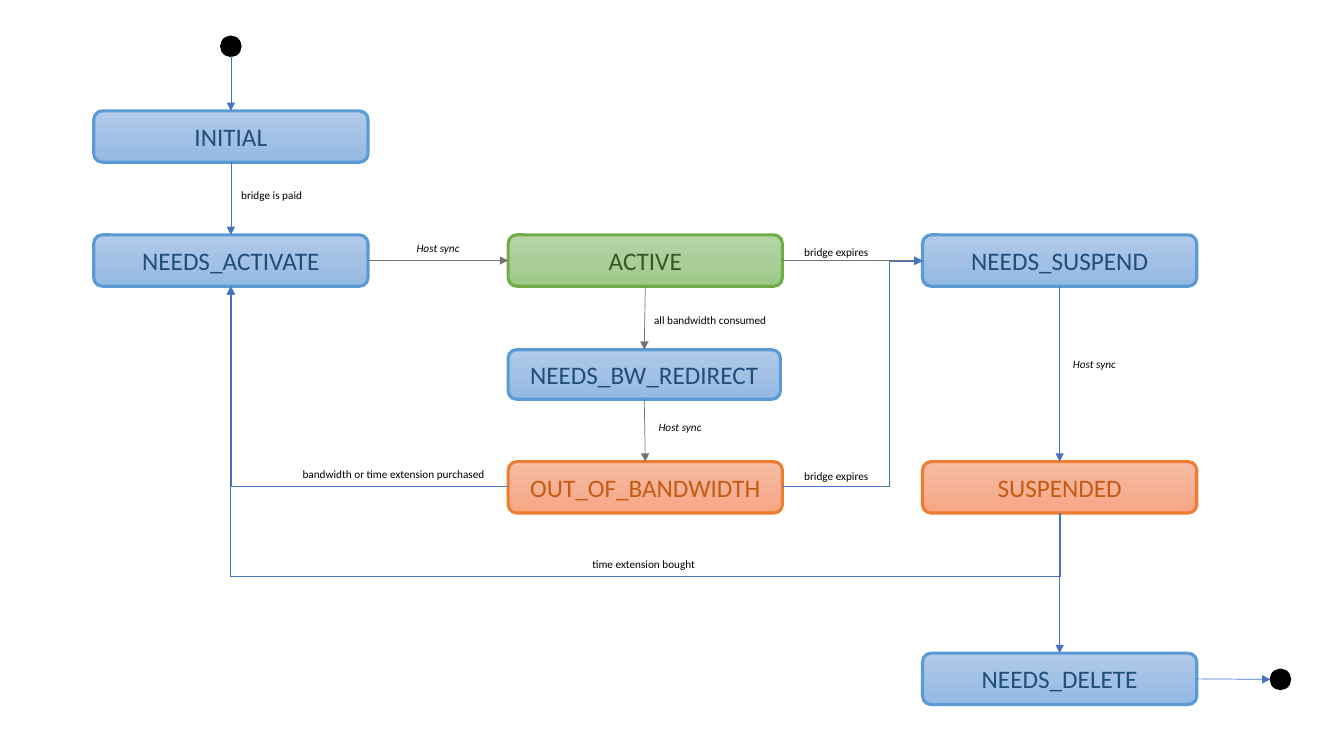
"""Draw the state diagram of a bridge from payment to deletion."""
from copy import deepcopy
from dataclasses import dataclass

from lxml.etree import SubElement as Sub
from pptx import Presentation
from pptx.dml.color import RGBColor as RGB
from pptx.enum.shapes import MSO_CONNECTOR as Conn, MSO_SHAPE as Form
from pptx.enum.text import MSO_ANCHOR as Anchor, PP_ALIGN as Align
from pptx.oxml.ns import qn
from pptx.util import Inches, Pt


@dataclass(frozen=True)
class Theme:
    font: str = "Calibri"
    big: float = 18
    small: float = 8
    edge: float = 2.25
    thin: float = 0.5
    black: str = "000000"
    blue: str = "4472C4"
    gray: str = "767171"
    todo: tuple = ("B1CBE9", "A3C1E5", "93B9E4", "5B9BD5", "1F4E79")
    live: tuple = ("B5D5A7", "AACE9A", "9CC987", "70AD47", "385723")
    halt: tuple = ("F7BDA5", "F5B196", "F8A582", "ED7D31", "C55A11")


class Chart:
    def __init__(self, slide, theme):
        self.slide, self.theme = slide, theme

    def put(self, frame, text, size, color, slant=None):
        frame.word_wrap = True
        para = frame.paragraphs[0]
        para.alignment = Align.CENTER
        run = para.add_run()
        run.text = text
        font = run.font
        font.name, font.size, font.italic = self.theme.font, Pt(size), slant
        font.color.rgb = RGB.from_string(color)

    def shape(self, form, x, y, w, h, color, width):
        item = self.slide.shapes.add_shape(form, *map(Inches, (x, y, w, h)))
        item.shadow.inherit = False
        item.line.color.rgb = RGB.from_string(color)
        item.line.width = Pt(width)
        return item

    def state(self, text, x, y, tone, w=2.72, h=0.51):
        *shades, edge, ink = tone
        item = self.shape(Form.ROUNDED_RECTANGLE, x, y, w, h, edge, self.theme.edge)
        item.fill.gradient()
        item.fill.gradient_angle = 270
        first = next(item._element.spPr.iter(qn("a:gs")))
        mid = deepcopy(first)
        mid.set("pos", "50000")
        first.addnext(mid)
        for stop, shade in zip(item.fill.gradient_stops, shades):
            stop.color.rgb = RGB.from_string(shade)
        item.text_frame.vertical_anchor = Anchor.MIDDLE
        self.put(item.text_frame, text, self.theme.big, ink)
        return item

    def dot(self, x, y, size=0.2):
        black = self.theme.black
        item = self.shape(Form.OVAL, x, y, size, size, black, 1)
        item.fill.solid()
        item.fill.fore_color.rgb = RGB.from_string(black)
        return item

    def arrow(self, kind, ends, color):
        item = self.slide.shapes.add_connector(kind, *ends)
        item.line.color.rgb = RGB.from_string(color)
        item.line.width = Pt(self.theme.thin)
        props = item._element.spPr
        Sub(props.find(qn("a:ln")), qn("a:tailEnd"), type="triangle")
        Sub(props, qn("a:effectLst"))
        return item

    def across(self, a, b, color):
        ends = a.left + a.width, a.top + a.height // 2, b.left, b.top + b.height // 2
        self.arrow(Conn.STRAIGHT, ends, color)

    def down(self, a, b, color):
        ends = a.left + a.width // 2, a.top + a.height, b.left + b.width // 2, b.top
        self.arrow(Conn.STRAIGHT, ends, color)

    def bend(self, x, y, w, h, bends=3, shift=None, **turn):
        item = self.arrow(Conn.ELBOW, map(Inches, (x, y, x + w, y + h)), self.theme.blue)
        props = item._element.spPr
        for key, value in turn.items():
            props.find(qn("a:xfrm")).set(key, str(value))
        geom = props.find(qn("a:prstGeom"))
        geom.set("prst", f"bentConnector{bends}")
        if shift is not None:
            guides = geom.find(qn("a:avLst"))
            Sub(guides, qn("a:gd"), name="adj1", fmla=f"val {round(shift * 100000)}")

    def label(self, text, x, y, slant=None):
        box = self.slide.shapes.add_textbox(*map(Inches, (x, y, 2.17, 0.24)))
        self.put(box.text_frame, text, self.theme.small, self.theme.black, slant)


deck = Presentation()
deck.slide_width, deck.slide_height = Inches(13.33), Inches(7.5)
look = Theme()
chart = Chart(deck.slides.add_slide(deck.slide_layouts[6]), look)

left, mid, right = (0.93 + 4.11 * col for col in range(3))
top, low = 2.33, 4.58
first = chart.state("INITIAL", left, 1.1, look.todo)
start = chart.state("NEEDS_ACTIVATE", left, top, look.todo)
steer = chart.state("NEEDS_BW_REDIRECT", mid, 3.47, look.todo, 2.7, 0.49)
live = chart.state("ACTIVE", mid, top, look.live)
pause = chart.state("NEEDS_SUSPEND", right, top, look.todo)
held = chart.state("SUSPENDED", right, low, look.halt)
spent = chart.state("OUT_OF_BANDWIDTH", mid, low, look.halt)
drop = chart.state("NEEDS_DELETE", right, 6.48, look.todo)
enter = chart.dot(2.19, 0.36)
leave = chart.dot(12.6, 6.64)

for a, b, color in (
    (start, live, look.gray), (live, pause, look.gray), (drop, leave, look.blue),
):
    chart.across(a, b, color)
for a, b, color in (
    (enter, first, look.blue), (first, start, look.blue),
    (live, steer, look.gray), (steer, spent, look.gray),
    (pause, held, look.blue), (held, drop, look.blue),
):
    chart.down(a, b, color)

half = 180 * 60000
chart.bend(2.29, 2.84, 2.75, 1.99, bends=2, rot=half)
chart.bend(7.76, 2.59, 1.39, 2.24, shift=0.76, flipV=1)
chart.bend(5.28, -0.15, 2.25, 8.23, shift=-0.28, rot=half // 2, flipH=1)

for text, x, y in (
    ("bridge expires", 7.21, 2.38),
    ("bridge expires", 7.21, 4.61),
    ("bandwidth or time extension purchased", 2.82, 4.59),
    ("time extension bought", 5.3, 5.48),
    ("all bandwidth consumed", 5.96, 3.06),
    ("bridge is paid", 1.61, 1.82),
):
    chart.label(text, x, y)
for x, y in ((9.77, 3.5), (5.66, 4.12), (3.26, 2.35)):
    chart.label("Host sync", x, y, slant=True)

deck.save("out.pptx")
